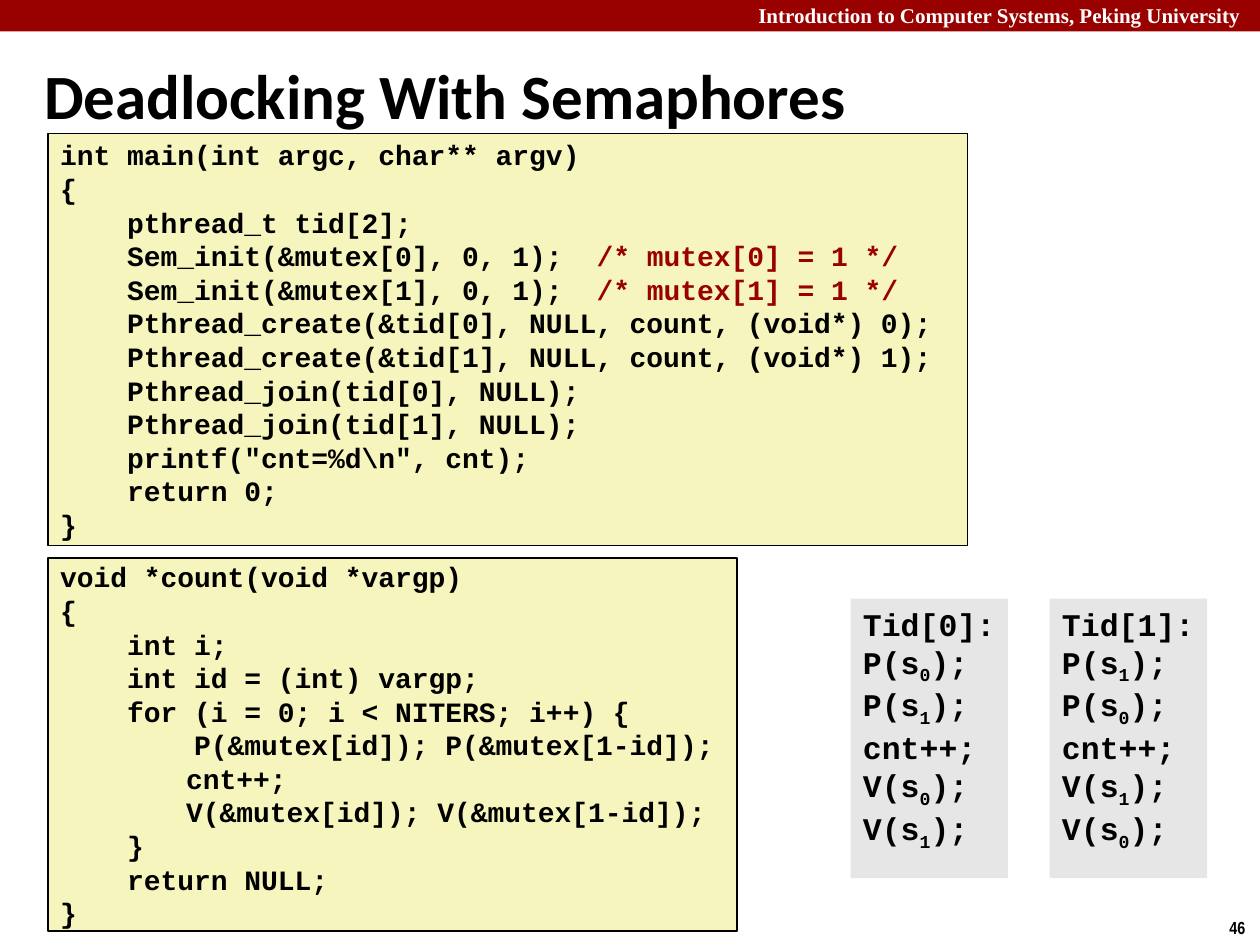
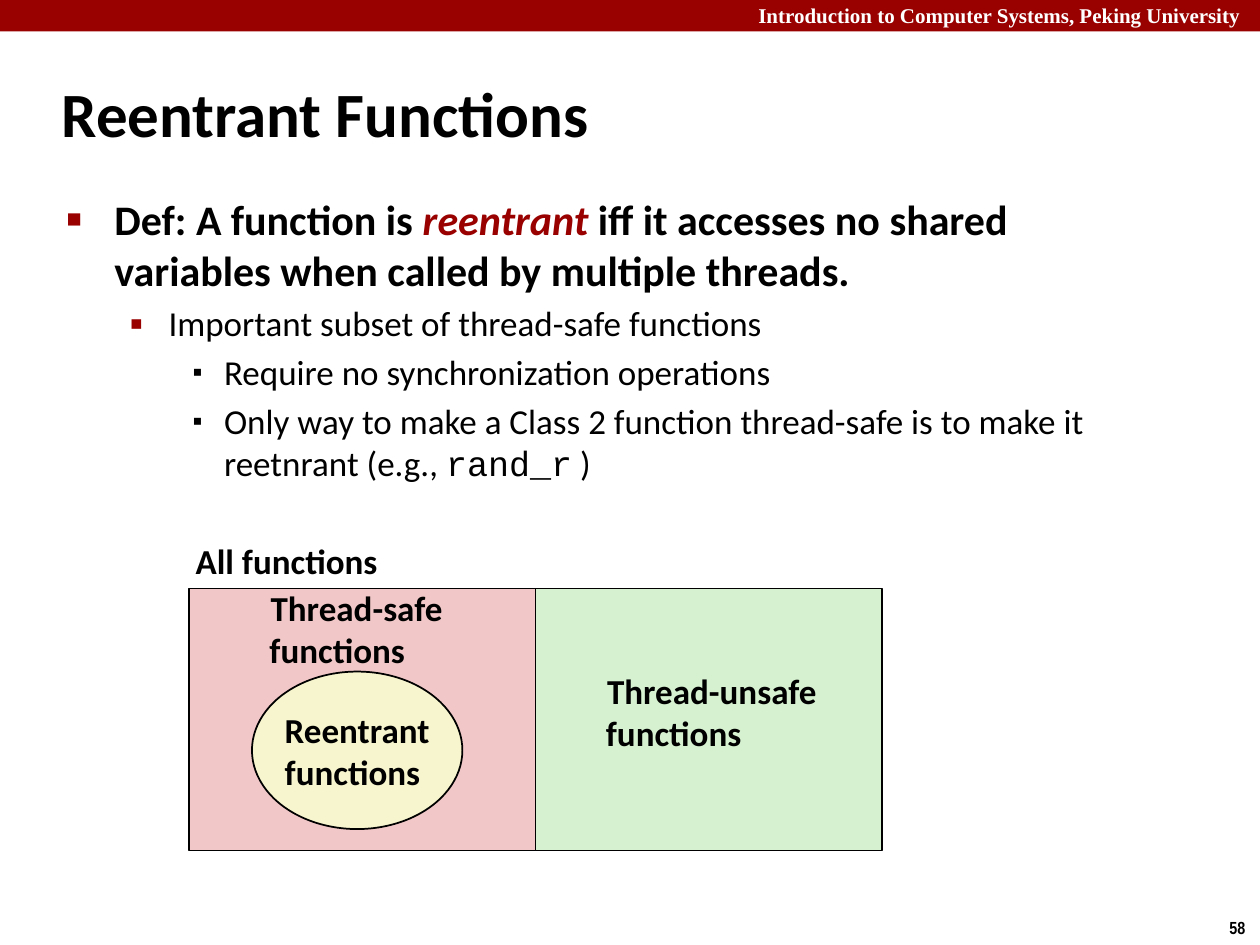
from dataclasses import dataclass, field

from lxml import etree
from pptx import Presentation
from pptx import util as u
from pptx.dml.color import RGBColor
from pptx.enum import shapes, text
from pptx.oxml import ns

# Shared style: lengths are px, 100 to the inch
PX = 9144
CRIMSON = RGBColor(0x99, 0x00, 0x00)
BLACK = RGBColor(0x00, 0x00, 0x00)
WHITE = RGBColor(0xFF, 0xFF, 0xFF)
CODE_YELLOW = RGBColor(0xF6, 0xF5, 0xBD)
TRACE_GREY = RGBColor(0xE6, 0xE6, 0xE6)
SAFE_PINK = RGBColor(0xF1, 0xC7, 0xC7)
UNSAFE_GREEN = RGBColor(0xD5, 0xF1, 0xCF)
REENTRANT_CREAM = RGBColor(0xF7, 0xF5, 0xCD)
BODY_FONT, CODE_FONT = "Calibri", "Courier New"
COURSE = "Introduction to Computer Systems, Peking University"

LEFT, CENTER = text.PP_ALIGN.LEFT, text.PP_ALIGN.CENTER
TOP, MIDDLE = text.MSO_ANCHOR.TOP, text.MSO_ANCHOR.MIDDLE
RECT, OVAL = shapes.MSO_SHAPE.RECTANGLE, shapes.MSO_SHAPE.OVAL


@dataclass
class Box:
    left: int
    top: int
    width: int
    height: int

    def emu(self) -> tuple:
        return tuple(u.Emu(n * PX) for n in (self.left, self.top, self.width, self.height))


@dataclass
class Span:
    text: str
    color: RGBColor | None = None
    font: str | None = None
    italic: bool = False
    subscript: bool = False


@dataclass
class Bullet:
    char: str
    percent: int
    margin: int
    hang: int
    color: RGBColor


@dataclass
class Line:
    spans: list
    align: text.PP_ALIGN = LEFT
    size: int | None = None
    bold: bool | None = None
    bullet: Bullet | None = None
    before: int = 0
    tabs: list = field(default_factory=list)


def set_bullet(paragraph, bullet: Bullet) -> None:
    props = paragraph._p.get_or_add_pPr()
    props.set("marL", str(bullet.margin * PX))
    props.set("indent", str(-bullet.hang * PX))
    color = etree.SubElement(props, ns.qn("a:buClr"))
    etree.SubElement(color, ns.qn("a:srgbClr"), val=str(bullet.color))
    etree.SubElement(props, ns.qn("a:buSzPct"), val=str(bullet.percent * 1000))
    etree.SubElement(props, ns.qn("a:buFont"), typeface="Wingdings" if not bullet.char else "Arial")
    etree.SubElement(props, ns.qn("a:buChar"), char=bullet.char)


def set_tabs(paragraph, stops: list) -> None:
    tabs = etree.SubElement(paragraph._p.get_or_add_pPr(), ns.qn("a:tabLst"))
    for stop in stops:
        etree.SubElement(tabs, ns.qn("a:tab"), pos=str(stop * PX), algn="l")


def write(frame, lines: list, *, font: str = BODY_FONT, size: int = 20, bold: bool = True,
          color: RGBColor = BLACK, anchor=TOP, wrap: bool = True,
          inset: tuple = (10, 5)) -> None:
    """Fill a text frame; a line may be a plain string or a Line of spans."""
    frame.auto_size = text.MSO_AUTO_SIZE.NONE
    frame.word_wrap = wrap
    frame.vertical_anchor = anchor
    frame.margin_left = frame.margin_right = inset[0] * PX
    frame.margin_top = frame.margin_bottom = inset[1] * PX
    for index, line in enumerate(lines):
        if isinstance(line, str):
            line = Line([Span(line)])
        paragraph = frame.add_paragraph() if index else frame.paragraphs[0]
        if line.bullet:
            set_bullet(paragraph, line.bullet)
        if line.tabs:
            set_tabs(paragraph, line.tabs)
        paragraph.alignment = line.align
        paragraph.space_before = u.Pt(line.before)
        for span in line.spans:
            run = paragraph.add_run()
            run.text = span.text
            run.font.name = span.font or font
            run.font.size = u.Pt(line.size or size)
            run.font.bold = bold if line.bold is None else line.bold
            run.font.italic = span.italic
            run.font.color.rgb = span.color or color
            if span.subscript:
                run._r.get_or_add_rPr().set("baseline", "-25000")


def add_label(slide, box: Box, lines: list, **style) -> None:
    write(slide.shapes.add_textbox(*box.emu()).text_frame, lines, **style)


def add_panel(slide, box: Box, fill: RGBColor, *, kind=RECT, outlined: bool = True):
    panel = slide.shapes.add_shape(kind, *box.emu())
    panel.shadow.inherit = False
    panel.fill.solid()
    panel.fill.fore_color.rgb = fill
    if outlined:
        panel.line.color.rgb = BLACK
        panel.line.width = u.Pt(1)
    else:
        panel.line.fill.background()
    return panel


def start_slide(deck, heading: str, number: int, title_box: Box):
    """Slide with the crimson band, course name, page number and title."""
    slide = deck.slides.add_slide(deck.slide_layouts[5])
    add_panel(slide, Box(0, 0, 1000, 25), CRIMSON, outlined=False)
    add_label(slide, Box(592, -3, 408, 30), [COURSE],
              font="Times New Roman", size=12, color=WHITE)
    add_label(slide, Box(966, 723, 34, 27), [str(number)],
              font="Arial Narrow", size=10, wrap=False)
    title = slide.shapes.title
    title.left, title.top, title.width, title.height = title_box.emu()
    write(title.text_frame, [heading], size=36, anchor=MIDDLE)
    return slide


# Slide: deadlocking with semaphores
def sem_init(index: int) -> Line:
    return Line([Span(f"    Sem_init(&mutex[{index}], 0, 1);  "),
                 Span(f"/* mutex[{index}] = 1 */", CRIMSON)])


def tabbed(code: str) -> Line:
    return Line([Span("\t" + code)], tabs=[100])


def semaphore_call(operation: str, index: int) -> Line:
    return Line([Span(f"{operation}(s"), Span(str(index), subscript=True), Span(");")])


MAIN_CODE = [
    "int main(int argc, char** argv)",
    "{",
    "    pthread_t tid[2];",
    sem_init(0),
    sem_init(1),
    "    Pthread_create(&tid[0], NULL, count, (void*) 0);",
    "    Pthread_create(&tid[1], NULL, count, (void*) 1);",
    "    Pthread_join(tid[0], NULL);",
    "    Pthread_join(tid[1], NULL);",
    '    printf("cnt=%d\\n", cnt);',
    "    return 0;",
    "}",
]
COUNT_CODE = [
    "void *count(void *vargp)",
    "{",
    "    int i;",
    "    int id = (int) vargp;",
    "    for (i = 0; i < NITERS; i++) {",
    "        P(&mutex[id]); P(&mutex[1-id]);",
    tabbed("cnt++;"),
    tabbed("V(&mutex[id]); V(&mutex[1-id]);"),
    "    }",
    "    return NULL;",
    "}",
]


def build_deadlock(deck) -> None:
    slide = start_slide(deck, "Deadlocking With Semaphores", 46, Box(25, 33, 830, 83))
    # Program listings
    for box, code in ((Box(38, 106, 730, 327), MAIN_CODE), (Box(38, 443, 547, 296), COUNT_CODE)):
        listing = add_panel(slide, box, CODE_YELLOW)
        write(listing.text_frame, code, font=CODE_FONT, size=16, anchor=MIDDLE,
              wrap=False, inset=(10, 0))
    # Order of operations in each thread
    for thread in (0, 1):
        order = (thread, 1 - thread)
        trace = add_panel(slide, Box(675 + 158 * thread, 475, 125, 222), TRACE_GREY,
                          outlined=False)
        steps = [f"Tid[{thread}]:", *(semaphore_call("P", s) for s in order),
                 "cnt++;", *(semaphore_call("V", s) for s in order)]
        write(trace.text_frame, steps, font=CODE_FONT, size=18, wrap=False)


# Slide: reentrant functions
DEFINITION = Bullet("■", 60, 38, 38, CRIMSON)
SUBSET = Bullet("▪", 110, 81, 31, CRIMSON)
DETAIL = Bullet("▪", 80, 125, 25, BLACK)
POINTS = [
    Line([Span("Def: A function is "), Span("reentrant ", CRIMSON, italic=True),
          Span("iff it accesses no shared variables when called by multiple threads.")],
         size=24, bold=True, bullet=DEFINITION),
    Line([Span("Important subset of thread-safe functions")], bullet=SUBSET, before=4),
    Line([Span("Require no synchronization operations")], bullet=DETAIL, before=4),
    Line([Span("Only way to make a Class 2 function thread-safe is to make it reetnrant (e.g., "),
          Span("rand_r", font=CODE_FONT), Span(" )")], bullet=DETAIL, before=4),
]


def class_name(kind: str) -> list:
    return [Line([Span(kind)], align=CENTER), "functions"]


def build_reentrant(deck) -> None:
    slide = start_slide(deck, "Reentrant Functions", 58, Box(39, 48, 830, 83))
    add_label(slide, Box(43, 149, 864, 257), POINTS, bold=False)
    # Set diagram: two halves with the reentrant subset inside the first
    for column, fill in enumerate((SAFE_PINK, UNSAFE_GREEN)):
        add_panel(slide, Box(150 + 275 * column, 467, 275, 208), fill)
    reentrant = add_panel(slide, Box(200, 533, 167, 125), REENTRANT_CREAM, kind=OVAL)
    write(reentrant.text_frame, class_name("Reentrant"), anchor=MIDDLE, wrap=False)
    for box, lines in (
        (Box(144, 423, 167, 44), [Line([Span("All functions")], align=CENTER)]),
        (Box(471, 526, 188, 77), class_name("Thread-unsafe")),
        (Box(204, 460, 158, 77), class_name("Thread-safe")),
    ):
        add_label(slide, box, lines, anchor=MIDDLE, wrap=False)


def main() -> None:
    deck = Presentation()
    deck.slide_width, deck.slide_height = u.Emu(1000 * PX), u.Emu(750 * PX)
    build_deadlock(deck)
    build_reentrant(deck)
    deck.save("out.pptx")


if __name__ == "__main__":
    main()
